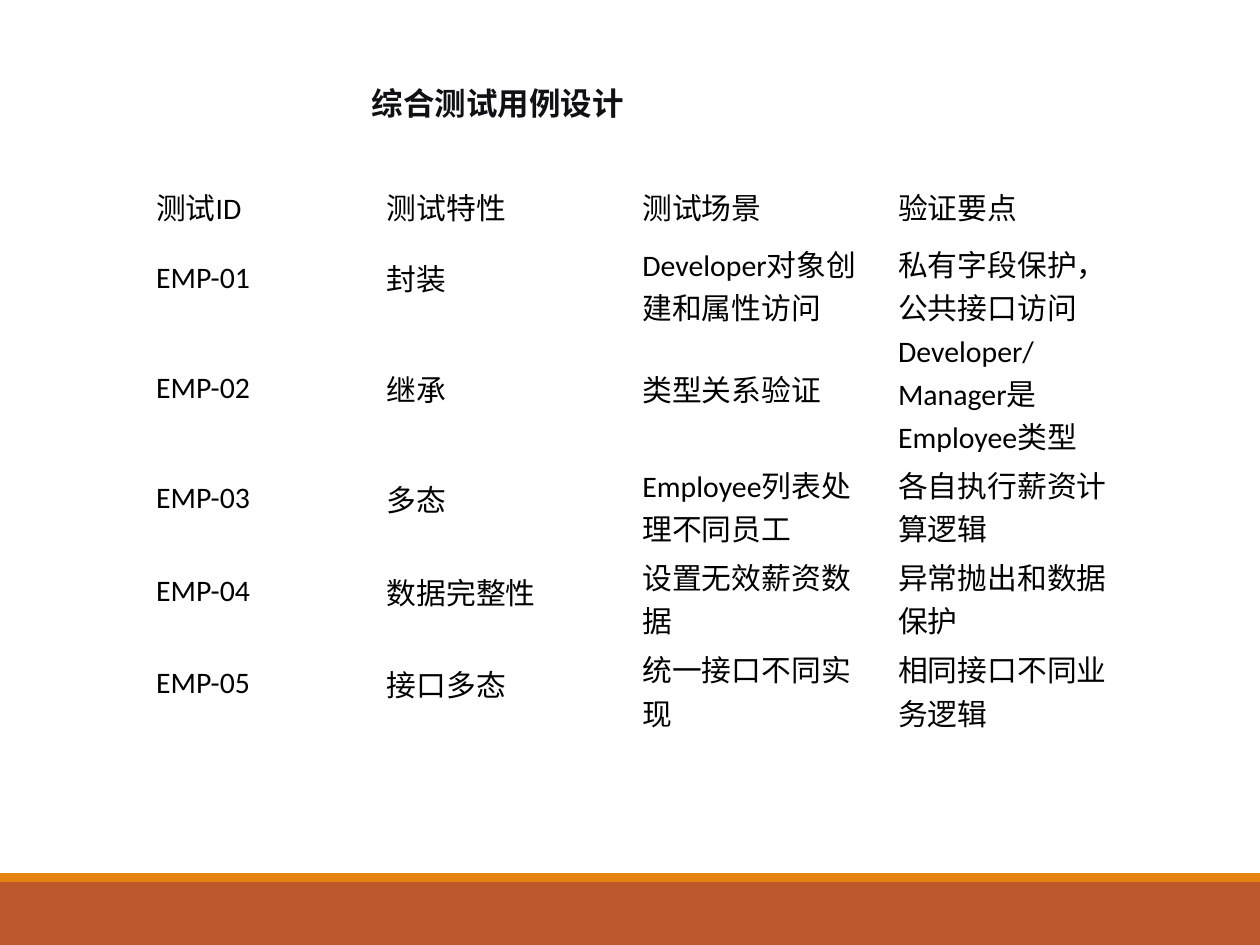
from pptx import Presentation
from pptx.dml.color import RGBColor
from pptx.enum.shapes import MSO_SHAPE
from pptx.enum.text import MSO_ANCHOR, MSO_AUTO_SIZE, PP_ALIGN
from pptx.util import Pt

RECTANGLE = MSO_SHAPE.RECTANGLE
MIDDLE = MSO_ANCHOR.MIDDLE
GROW = MSO_AUTO_SIZE.SHAPE_TO_FIT_TEXT
LEFT = PP_ALIGN.LEFT

TITLE_ONLY = 5
SLIDE_WIDTH, SLIDE_HEIGHT = 720, 540
COLORS = {
    "background": "FFFFFF",
    "footer": "BD582C",
    "accent": "E48312",
    "title": "0F1115",
    "text": "000000",
}
TEST_CASES = [
    ("测试ID", "测试特性", "测试场景", "验证要点"),
    ("EMP-01", "封装", "Developer对象创建和属性访问", "私有字段保护，公共接口访问"),
    ("EMP-02", "继承", "类型关系验证", "Developer/Manager是Employee类型"),
    ("EMP-03", "多态", "Employee列表处理不同员工", "各自执行薪资计算逻辑"),
    ("EMP-04", "数据完整性", "设置无效薪资数据", "异常抛出和数据保护"),
    ("EMP-05", "接口多态", "统一接口不同实现", "相同接口不同业务逻辑"),
]
COLUMN_WIDTHS = [129.6, 146.1, 146.1, 146.1]
ROW_HEIGHTS = [32.4, 52.8, 73.4, 52.8, 52.8, 52.8]
OUTER_MARGIN, INNER_MARGIN, VERTICAL_MARGIN = 7.2, 9.4, 5.75


def color(name):
    return RGBColor.from_string(COLORS[name])


def style_font(font, family, size, color_name, bold=False):
    font.name = family
    font.size = Pt(size)
    font.bold = bold
    font.color.rgb = color(color_name)


def add_bar(slide, top, height, color_name):
    """Add a band across the full slide width."""
    bar = slide.shapes.add_shape(RECTANGLE, 0, Pt(top), Pt(SLIDE_WIDTH), Pt(height))
    bar.shadow.inherit = False
    bar.fill.solid()
    bar.fill.fore_color.rgb = color(color_name)
    bar.line.fill.background()


def set_title(slide, text):
    title = slide.shapes.title
    title.left, title.top = Pt(212.4), Pt(31.7)
    title.width, title.height = Pt(476), Pt(46)
    title.fill.solid()
    title.fill.fore_color.rgb = color("background")
    frame = title.text_frame
    frame.text = text
    frame.word_wrap = True
    frame.auto_size = GROW
    frame.vertical_anchor = MIDDLE
    frame.margin_left = frame.margin_right = 0
    frame.margin_top, frame.margin_bottom = Pt(15.8), Pt(7.9)
    heading = frame.paragraphs[0]
    heading.alignment = LEFT
    style_font(heading.font, "Arial", 18, "title", bold=True)


def fill_cell(cell, text, left_margin, right_margin):
    cell.text = text
    cell.fill.background()
    cell.vertical_anchor = MIDDLE
    cell.margin_left, cell.margin_right = Pt(left_margin), Pt(right_margin)
    cell.margin_top = cell.margin_bottom = Pt(VERTICAL_MARGIN)
    style_font(cell.text_frame.paragraphs[0].font, "Calibri", 17, "text")


def add_test_table(slide):
    table = slide.shapes.add_table(
        len(ROW_HEIGHTS), len(COLUMN_WIDTHS), Pt(82), Pt(100),
        Pt(sum(COLUMN_WIDTHS)), Pt(sum(ROW_HEIGHTS)),
    ).table
    table.first_row = table.horz_banding = False
    for column, width in zip(table.columns, COLUMN_WIDTHS):
        column.width = Pt(width)
    for row, height in zip(table.rows, ROW_HEIGHTS):
        row.height = Pt(height)
    last_column = len(COLUMN_WIDTHS) - 1
    for r, test_case in enumerate(TEST_CASES):
        for c, text in enumerate(test_case):
            left_margin = OUTER_MARGIN if c == 0 else INNER_MARGIN
            right_margin = OUTER_MARGIN if r > 0 and c == last_column else INNER_MARGIN
            fill_cell(table.cell(r, c), text, left_margin, right_margin)


def main():
    prs = Presentation()
    prs.slide_width, prs.slide_height = Pt(SLIDE_WIDTH), Pt(SLIDE_HEIGHT)
    slide = prs.slides.add_slide(prs.slide_layouts[TITLE_ONLY])
    add_bar(slide, 504, 36, "footer")
    add_bar(slide, 499, 5, "accent")
    add_test_table(slide)
    set_title(slide, "综合测试用例设计")
    prs.save("out.pptx")


if __name__ == "__main__":
    main()
